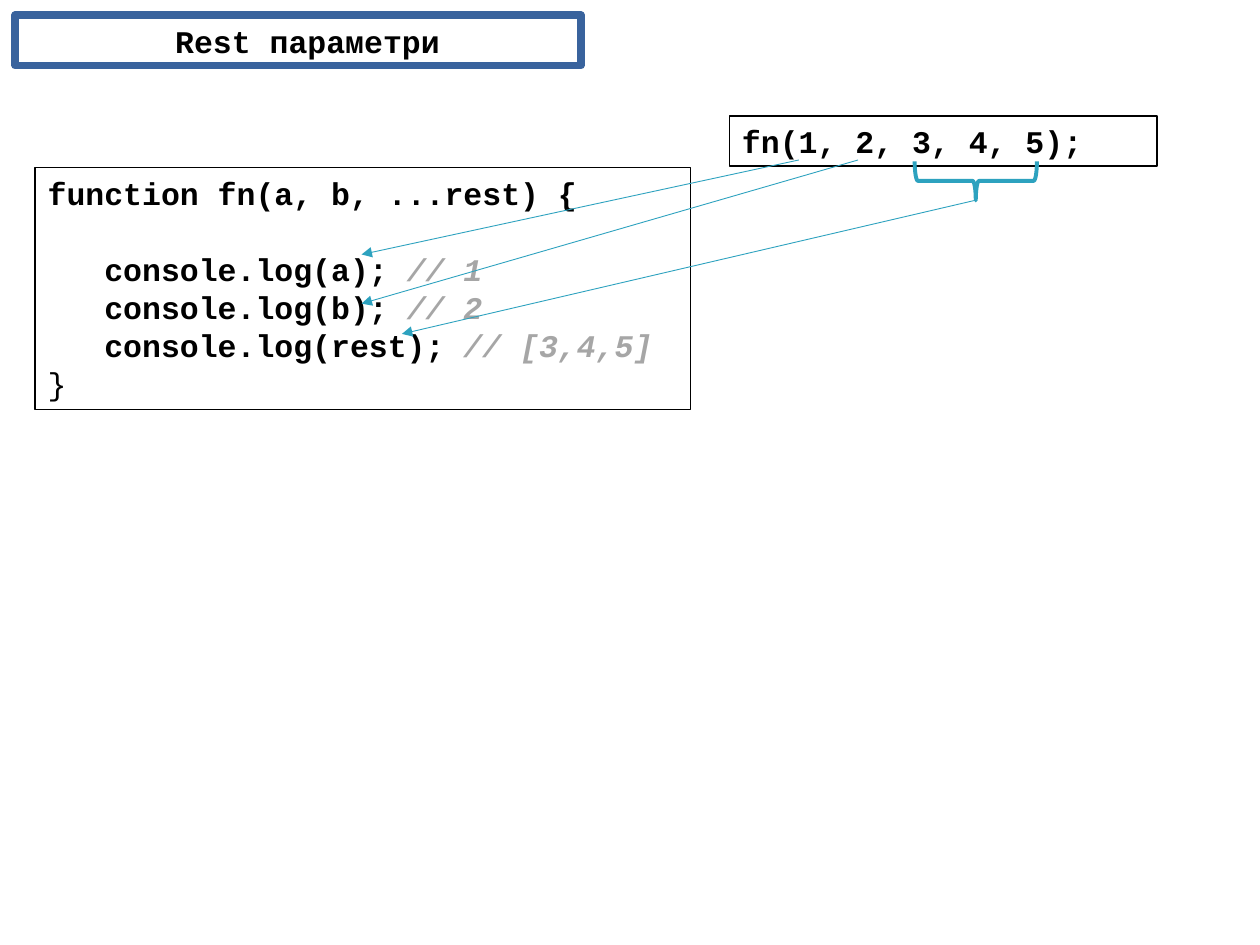
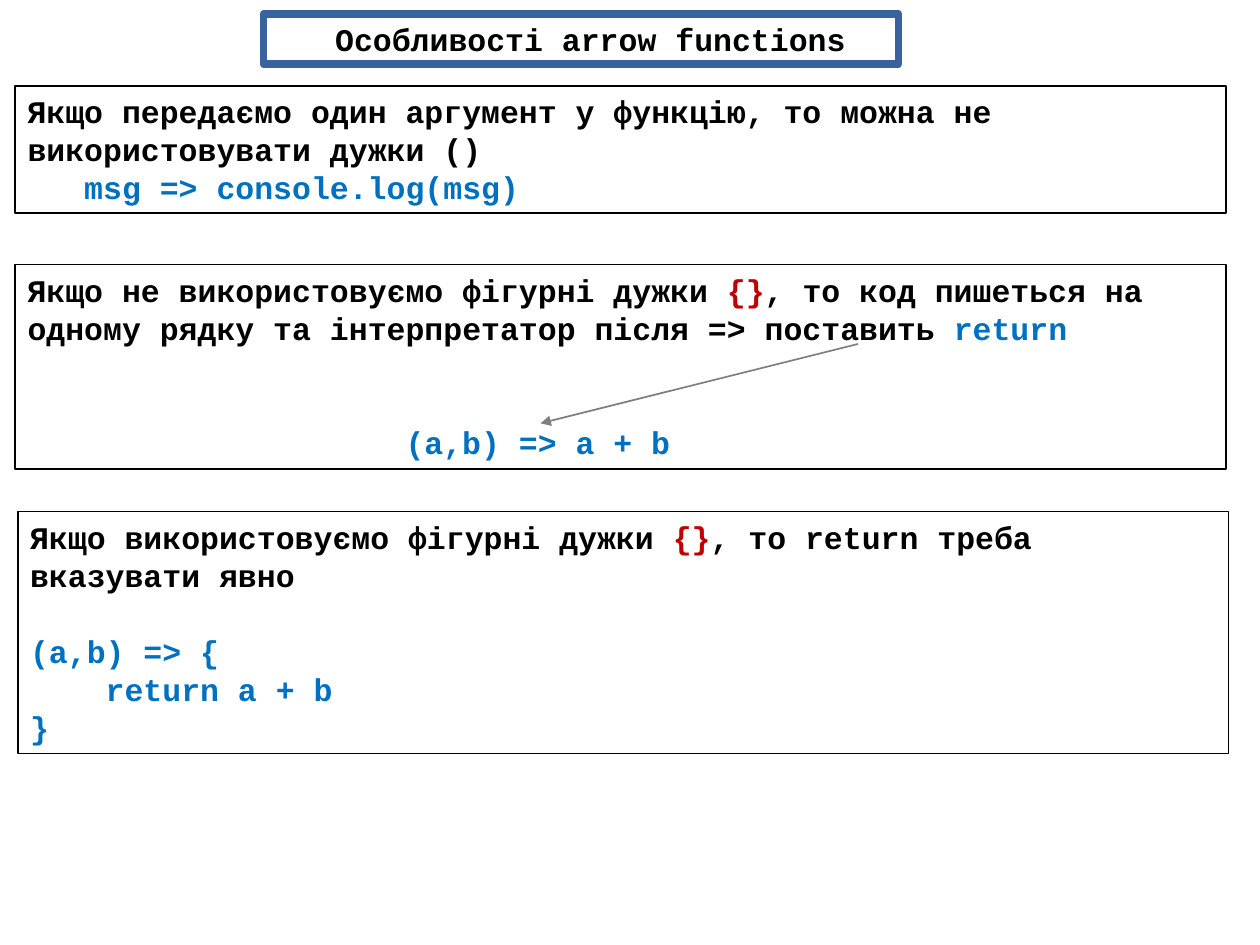
from pptx import Presentation
from pptx.dml.color import RGBColor
from pptx.enum.shapes import MSO_CONNECTOR as Connector, MSO_SHAPE as Shape
from pptx.enum.text import MSO_ANCHOR as Anchor, MSO_AUTO_SIZE as AutoSize, PP_ALIGN as Align
from pptx.oxml.ns import qn
from pptx.util import Inches, Pt
from lxml.etree import SubElement

COLORS = {
    "text": "000000",
    "paper": "FFFFFF",
    "frame": "39639D",
    "comment": "A6A6A6",
    "code": "0070C0",
    "braces": "C00000",
    "teal": "2DA2BF",
    "gray": "808080",
}
FONT = "Courier New"
FONT_SIZE = Pt(18)
LINE_HEIGHT = Pt(21.7)
CHARACTER = 0.15  # width of one character, in inches
TITLE_ONLY = 5


class Deck:
    def __init__(self):
        self.presentation = Presentation()
        self.presentation.slide_width = Inches(10)
        self.presentation.slide_height = Inches(7.5)
        self.slide = None

    def color(self, name):
        return RGBColor.from_string(COLORS[name])

    def place(self, shape, left, top, width, height):
        shape.left, shape.top = Inches(left), Inches(top)
        shape.width, shape.height = Inches(width), Inches(height)

    def outline(self, shape, color, width):
        shape.line.color.rgb = self.color(color)
        shape.line.width = Pt(width)

    def format_paragraph(self, paragraph, bold=True):
        font = paragraph.font
        font.name, font.size, font.bold = FONT, FONT_SIZE, bold
        font.color.rgb = self.color("text")
        paragraph.line_spacing = LINE_HEIGHT

    def add_slide(self, title, left, top, width, height=0.4):
        layout = self.presentation.slide_layouts[TITLE_ONLY]
        self.slide = self.presentation.slides.add_slide(layout)
        shape = self.slide.shapes.title
        self.place(shape, left, top, width, height)
        shape.fill.solid()
        shape.fill.fore_color.rgb = self.color("paper")
        self.outline(shape, "frame", 4.33)
        frame = shape.text_frame
        frame.text = title
        frame.auto_size = AutoSize.NONE
        frame.vertical_anchor = Anchor.MIDDLE
        frame.margin_left = Inches(0.1 + CHARACTER)
        paragraph = frame.paragraphs[0]
        self.format_paragraph(paragraph)
        paragraph.alignment = Align.CENTER

    def add_box(self, left, top, width, height, lines):
        """Each line is (runs, indent in characters, blank lines above, bold)."""
        box = self.slide.shapes.add_textbox(0, 0, 0, 0)
        self.place(box, left, top, width, height)
        self.outline(box, "text", 1)
        frame = box.text_frame
        frame.word_wrap = True
        for index, (runs, indent, gap, bold) in enumerate(lines):
            paragraph = frame.add_paragraph() if index else frame.paragraphs[0]
            self.format_paragraph(paragraph, bold)
            if gap:
                paragraph.space_before = LINE_HEIGHT * gap
            if indent:
                properties = paragraph._p.get_or_add_pPr()
                properties.set("marL", str(Inches(indent * CHARACTER)))
                properties.set("indent", "0")
            for text, color in runs:
                run = paragraph.add_run()
                run.text = text
                if color != "text":
                    run.font.color.rgb = self.color(color)
                if color == "comment":
                    run.font.italic = True

    def add_arrow(self, start, end, color, width):
        points = [Inches(value) for value in (*start, *end)]
        arrow = self.slide.shapes.add_connector(Connector.STRAIGHT, *points)
        self.outline(arrow, color, width)
        SubElement(arrow.line._get_or_add_ln(), qn("a:tailEnd"), type="triangle")
        SubElement(arrow._element.spPr, qn("a:effectLst"))

    def add_brace(self, left, top, width, height):
        brace = self.slide.shapes.add_shape(Shape.LEFT_BRACE, 0, 0, 0, 0)
        self.place(brace, left, top, width, height)
        brace.rotation = 270
        brace.shadow.inherit = False
        brace.fill.background()
        self.outline(brace, "teal", 2.25)


def line(*runs, indent=0, gap=0, bold=True):
    """Describe one line; a plain string is a run in the text colour."""
    pairs = [(run, "text") if isinstance(run, str) else run for run in runs]
    return pairs, indent, gap, bold


def code(text, **options):
    return line((text, "code"), **options)


def log(name, value, gap=0):
    return line(f"console.log({name}); ", (f"// {value}", "comment"), indent=3, gap=gap)


def build_rest_parameters(deck):
    deck.add_slide("Rest параметри", 0.12, 0.12, 4.49)
    deck.add_box(5.79, 0.92, 3.39, 0.4, [line("fn(1, 2, 3, 4, 5);")])
    deck.add_box(0.28, 1.33, 5.2, 1.92, [
        line("function fn(a, b, ...rest) {"),
        log("a", "1", gap=1),
        log("b", "2"),
        log("rest", "[3,4,5]"),
        line("}", bold=False),
    ])
    deck.add_brace(7.59, 0.95, 0.31, 0.97)
    for start, end in (
        ((6.34, 1.27), (2.87, 2.02)),
        ((6.81, 1.27), (2.87, 2.41)),
        ((7.74, 1.59), (3.19, 2.65)),
    ):
        deck.add_arrow(start, end, "teal", 0.5)


def build_arrow_functions(deck):
    braces = ("{}", "braces")
    deck.add_slide("Особливості arrow functions", 2.09, 0.11, 5.04)
    deck.add_box(0.12, 0.68, 9.61, 1.01, [
        line("Якщо передаємо один аргумент у функцію, то можна не використовувати дужки ()"),
        code("msg => console.log(msg)", indent=3),
    ])
    deck.add_box(0.14, 4.06, 9.61, 1.92, [
        line("Якщо використовуємо фігурні дужки ", braces, ", то return треба вказувати явно"),
        code("(a,b) => {", gap=1),
        code("return a + b", indent=4),
        code("}"),
    ])
    deck.add_box(0.12, 2.1, 9.61, 1.62, [
        line("Якщо не використовуємо фігурні дужки ", braces,
             ", то код пишеться на одному рядку та інтерпретатор після => поставить ",
             ("return", "code")),
        code("(a,b) => a + b", indent=20, gap=2),
    ])
    deck.add_arrow((6.81, 2.73), (4.29, 3.36), "gray", 1)


def main():
    deck = Deck()
    build_rest_parameters(deck)
    build_arrow_functions(deck)
    deck.presentation.save("out.pptx")


if __name__ == "__main__":
    main()
